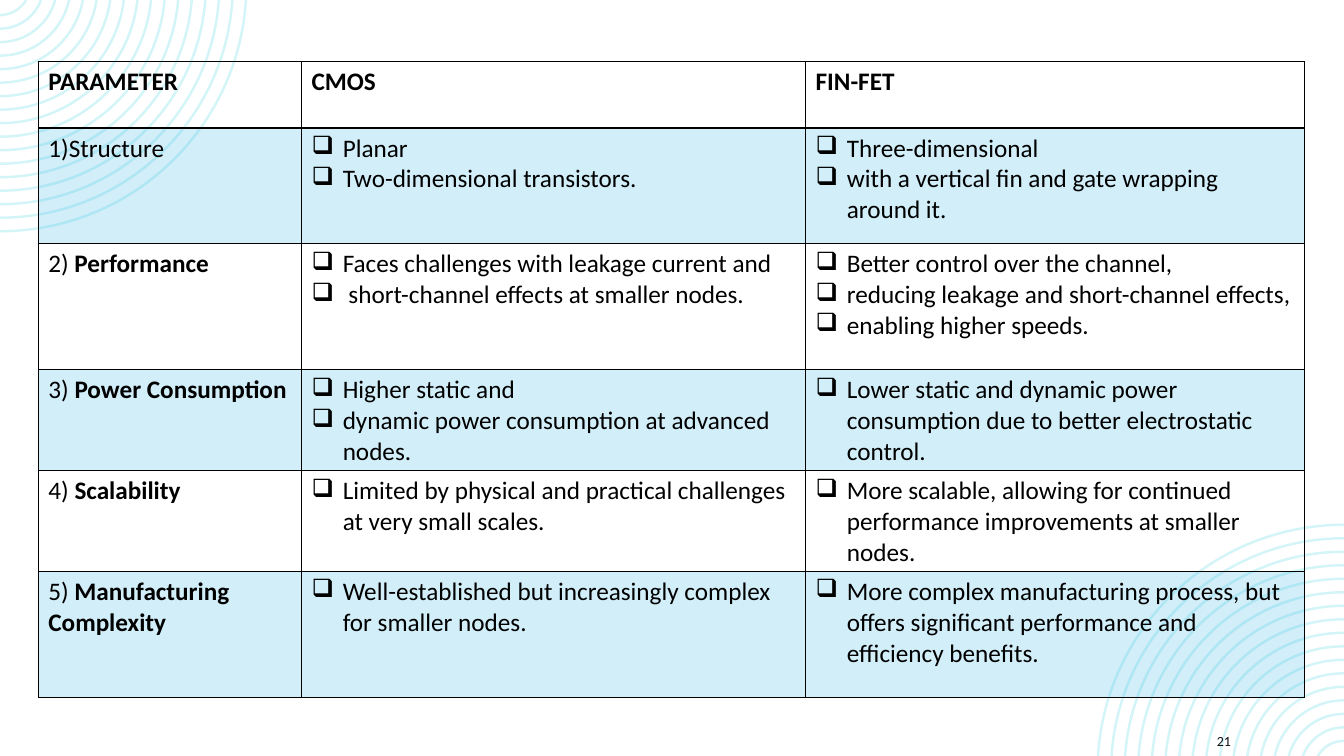
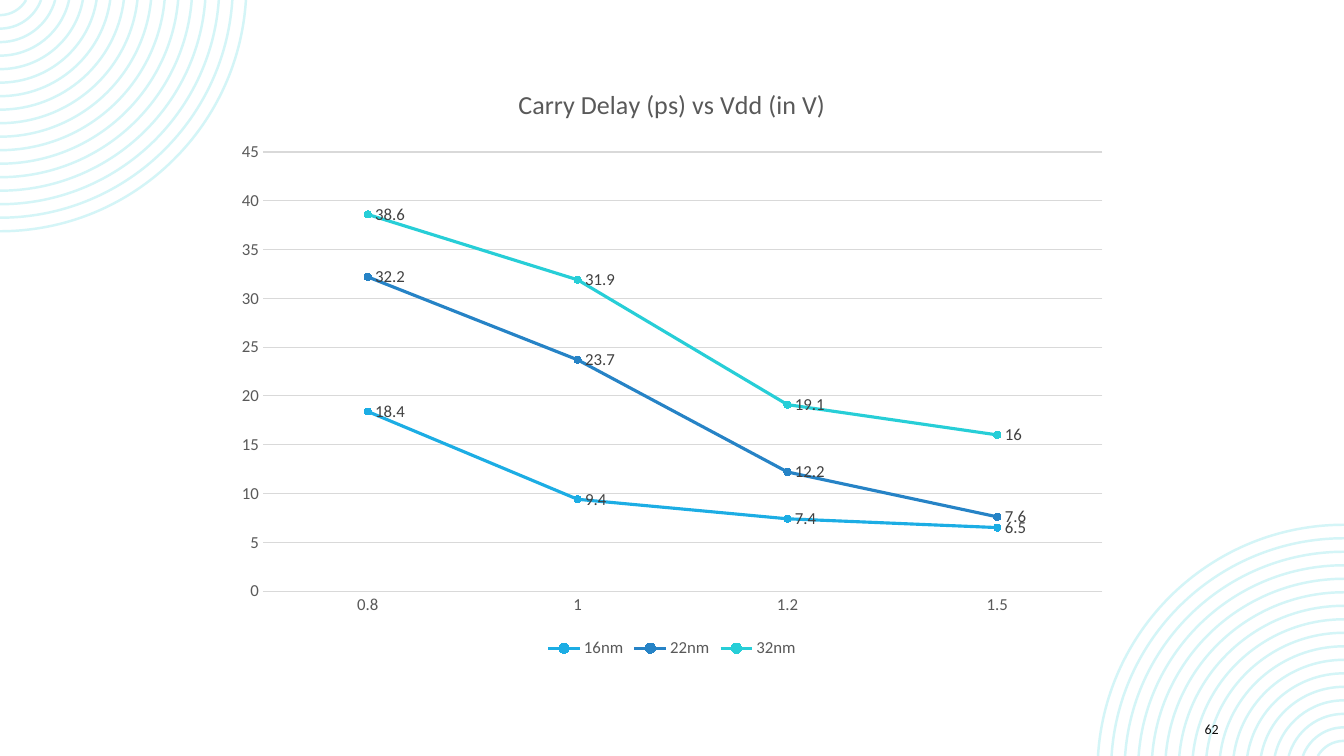
from math import asin, cos, pi, sin, tan

from lxml.etree import SubElement
from pptx import Presentation
from pptx.chart.data import CategoryChartData
from pptx.dml.color import RGBColor
from pptx.enum.chart import XL_CHART_TYPE, XL_LABEL_POSITION, XL_LEGEND_POSITION
from pptx.enum.chart import XL_MARKER_STYLE, XL_TICK_MARK
from pptx.enum.text import MSO_ANCHOR
from pptx.oxml import parse_xml
from pptx.oxml.ns import nsdecls, qn
from pptx.util import Inches, Pt


class Theme:
    face = "Calibri"
    wide, high = 13.33, 7.5
    ring = "D4F5F7"
    band = "1CADE4"
    edge = "000000"
    grid = "D9D9D9"
    lines = ["1CADE4", "2683C6", "27CED7"]
    type = {
        "page": (10, "0D0D0D"),
        "cell": (18, "000000"),
        "title": (18.6, "595959"),
        "axis": (12, "595959"),
        "label": (12, "404040"),
    }


def color(code):
    return RGBColor.from_string(code)


def apply(item, looks):
    for key, value in looks.items():
        setattr(item, key, value)


class Deck:
    def __init__(self, theme):
        self.theme = theme
        self.show = Presentation()
        apply(self.show, {"slide_width": Inches(theme.wide),
                          "slide_height": Inches(theme.high)})
        self.slide = None

    def page(self, number, left, top):
        self.slide = self.show.slides.add_slide(self.show.slide_layouts[6])
        self.rings(False)
        self.rings(True)
        box = self.slide.shapes.add_textbox(*map(Inches, (left, top, 1.06, 0.3)))
        apply(box.text_frame, {"word_wrap": True, "vertical_anchor": MSO_ANCHOR.MIDDLE})
        run = box.text_frame.paragraphs[0].add_run()
        run.text = number
        self.font(run.font, "page")

    def font(self, font, kind, bold=False):
        size, code = self.theme.type[kind]
        apply(font, {"name": self.theme.face, "size": Pt(size), "bold": bold})
        font.color.rgb = color(code)

    def arc(self, radius, rise, turned):
        start = asin(rise / radius)
        pull = 4 / 3 * tan((pi / 2 - start) / 4)
        spots = [
            (cos(start), sin(start)),
            (cos(start) - pull * sin(start), sin(start) + pull * cos(start)),
            (pull, 1),
            (0, 1),
        ]
        for x, y in spots:
            x, y = radius * x, radius * y - rise
            if turned:
                x, y = self.theme.wide - x, self.theme.high - y
            yield Inches(x), Inches(y)

    def rings(self, turned, count=17, first=0.3, step=0.134, rise=0.15):
        build = None
        for i in range(count):
            begin, *rest = self.arc(first + i * step, rise, turned)
            if build is None:
                build = self.slide.shapes.build_freeform(*begin)
            else:
                build.move_to(*begin)
            build.add_line_segments(rest, close=False)
        shape = build.convert_to_shape()
        legs = list(shape._element.iter(qn("a:lnTo")))
        for i in range(0, len(legs), 3):
            curve = parse_xml(f'<a:cubicBezTo {nsdecls("a")}/>')
            legs[i].addprevious(curve)
            for leg in legs[i:i + 3]:
                curve.append(leg[0])
                leg.getparent().remove(leg)
        shape.shadow.inherit = False
        shape.fill.background()
        self.stroke(shape.line, self.theme.ring, 1.75)

    def table(self, left, top, widths, heights, rows):
        frame = self.slide.shapes.add_table(
            len(rows), len(widths),
            *map(Inches, (left, top, sum(widths), sum(heights))))
        table = frame.table
        apply(table, {"first_row": False, "horz_banding": False})
        for column, width in zip(table.columns, widths):
            column.width = Inches(width)
        for row, height in zip(table.rows, heights):
            row.height = Inches(height)
        for i, row in enumerate(rows):
            for j, lines in enumerate(row):
                cell = table.cell(i, j)
                self.paint(cell, i % 2 == 1)
                body = cell.text_frame
                for k, runs in enumerate(lines):
                    para = body.add_paragraph() if k else body.paragraphs[0]
                    if i and j:
                        self.bullet(para)
                    for text, bold in runs:
                        run = para.add_run()
                        run.text = text
                        self.font(run.font, "cell", bold)

    def paint(self, cell, banded):
        props = cell._tc.get_or_add_tcPr()
        if banded:
            cell.fill.solid()
            cell.fill.fore_color.rgb = color(self.theme.band)
            SubElement(props.find(".//" + qn("a:srgbClr")), qn("a:alpha"), val="20000")
        else:
            cell.fill.background()
        for i, side in enumerate("LRTB"):
            props.insert(i, parse_xml(
                f'<a:ln{side} {nsdecls("a")} w="{Pt(1)}"><a:solidFill>'
                f'<a:srgbClr val="{self.theme.edge}"/></a:solidFill></a:ln{side}>'))

    def bullet(self, para):
        props = para._p.get_or_add_pPr()
        for key, size in {"marL": 0.31, "indent": -0.31}.items():
            props.set(key, str(Inches(size)))
        SubElement(props, qn("a:buChar"), char="❑")

    def chart(self, place, title, names, series):
        data = CategoryChartData()
        data.categories = names
        for name, values in series.items():
            data.add_series(name, values)
        chart = self.slide.shapes.add_chart(
            XL_CHART_TYPE.LINE_MARKERS, *map(Inches, place), data).chart
        self.font(chart.font, "axis")
        apply(chart, {"has_title": True, "has_legend": True})
        run = chart.chart_title.text_frame.paragraphs[0].add_run()
        run.text = title
        self.font(run.font, "title")
        apply(chart.legend, {"position": XL_LEGEND_POSITION.BOTTOM,
                             "include_in_layout": False})
        self.font(chart.legend.font, "axis")
        for axis in (chart.category_axis, chart.value_axis):
            apply(axis, {"major_tick_mark": XL_TICK_MARK.NONE,
                         "minor_tick_mark": XL_TICK_MARK.NONE})
            self.font(axis.tick_labels.font, "axis")
        apply(chart.value_axis, {"minimum_scale": 0, "maximum_scale": 45,
                                 "major_unit": 5, "has_major_gridlines": True})
        chart.value_axis.format.line.fill.background()
        for part in (chart.category_axis, chart.value_axis.major_gridlines):
            self.stroke(part.format.line, self.theme.grid, 0.75)
        plot = chart.plots[0]
        plot.vary_by_categories = False
        for line, code in zip(plot.series, self.theme.lines):
            line.smooth = False
            self.stroke(line.format.line, code, 2.25)
            apply(line.marker, {"style": XL_MARKER_STYLE.CIRCLE, "size": 5})
            fill = line.marker.format.fill
            fill.solid()
            fill.fore_color.rgb = color(code)
            self.stroke(line.marker.format.line, code, 0.75)
            apply(line.data_labels, {"show_value": True,
                                     "position": XL_LABEL_POSITION.RIGHT})
            self.font(line.data_labels.font, "label")

    def stroke(self, line, code, width):
        line.color.rgb = color(code)
        line.width = Pt(width)


def plain(*lines):
    return [[(text, False)] for text in lines]


def head(text):
    return [[(text, True)]]


def topic(number, name):
    return [[(number, False), (name, True)]]


ROWS = [
    [head("PARAMETER"), head("CMOS"), head("FIN-FET")],
    [plain("1)Structure"),
     plain("Planar", "Two-dimensional transistors."),
     plain("Three-dimensional", "with a vertical fin and gate wrapping around it.")],
    [topic("2)", " Performance"),
     plain("Faces challenges with leakage current and",
           " short-channel effects at smaller nodes."),
     plain("Better control over the channel,",
           "reducing leakage and short-channel effects,",
           "enabling higher speeds.")],
    [topic("3) ", "Power Consumption"),
     plain("Higher static and", "dynamic power consumption at advanced nodes."),
     plain("Lower static and dynamic power consumption due to better "
           "electrostatic control.")],
    [topic("4) ", "Scalability"),
     plain("Limited by physical and practical challenges at very small scales."),
     plain("More scalable, allowing for continued performance improvements "
           "at smaller nodes.")],
    [topic("5)", " Manufacturing Complexity"),
     plain("Well-established but increasingly complex for smaller nodes."),
     plain("More complex manufacturing process, but offers significant "
           "performance and efficiency benefits.")],
]

DELAYS = {
    "16nm": [18.4, 9.4, 7.4, 6.5],
    "22nm": [32.2, 23.7, 12.2, 7.6],
    "32nm": [38.6, 31.9, 19.1, 16],
}


def main():
    deck = Deck(Theme())
    deck.page("21", 11.97, 7.2)
    deck.table(0.38, 0.61, [2.61, 5, 4.95], [0.66, 1.15, 1.25, 0.88, 0.88, 1.25], ROWS)
    deck.page("62", 11.85, 7.08)
    deck.chart((2.22, 0.64, 8.89, 5.93), "Carry Delay (ps) vs Vdd (in V)",
               ["0.8", "1", "1.2", "1.5"], DELAYS)
    deck.show.save("out.pptx")


if __name__ == "__main__":
    main()
